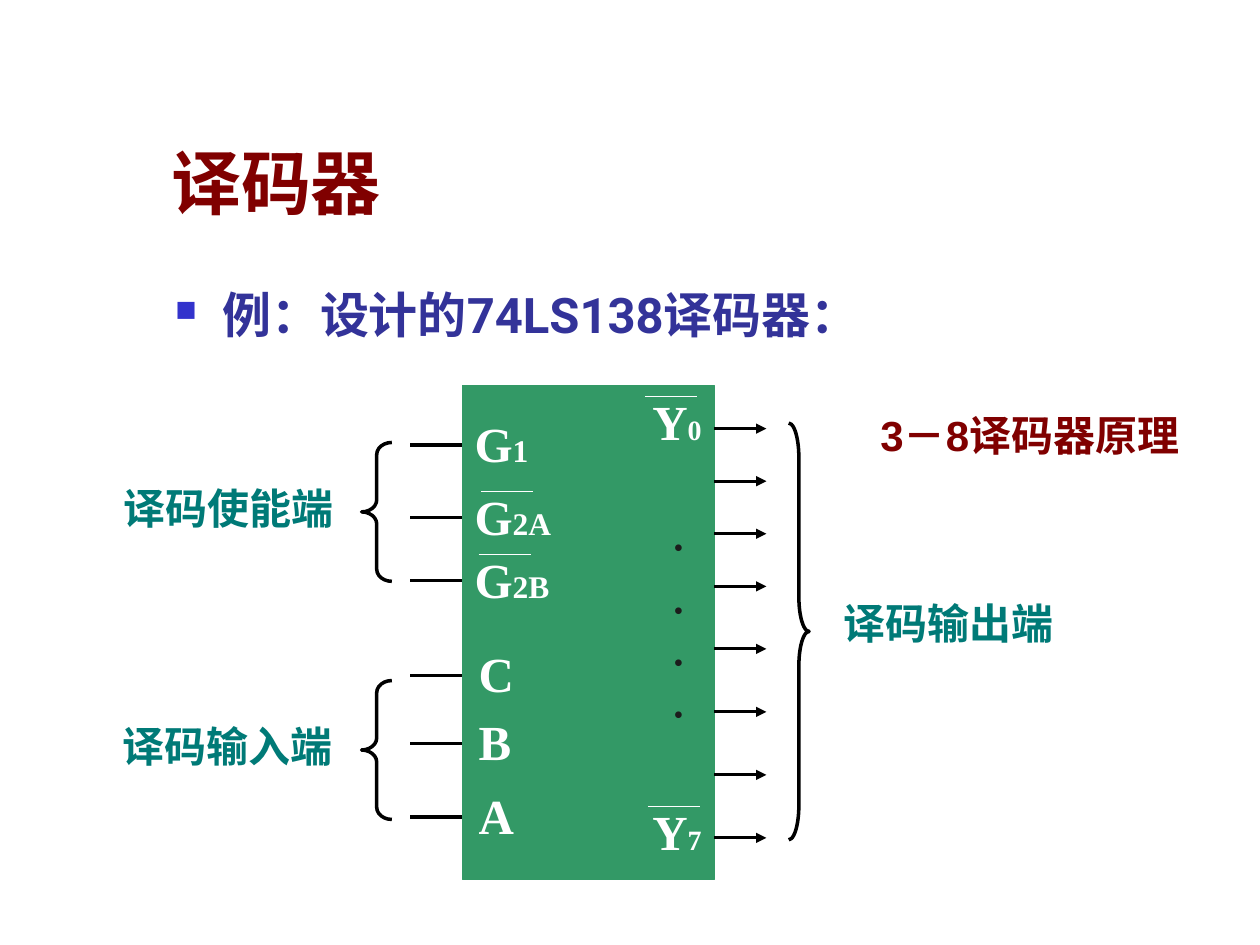
from dataclasses import dataclass

from lxml import etree
from pptx import Presentation
from pptx.dml.color import RGBColor
from pptx.enum.shapes import MSO_CONNECTOR, MSO_SHAPE
from pptx.enum.text import MSO_ANCHOR, MSO_AUTO_SIZE, PP_ALIGN
from pptx.oxml.ns import qn
from pptx.util import Cm, Pt

LEFT, CENTER = PP_ALIGN.LEFT, PP_ALIGN.CENTER
TOP, BOTTOM = MSO_ANCHOR.TOP, MSO_ANCHOR.BOTTOM
FIXED = MSO_AUTO_SIZE.NONE
STRAIGHT = MSO_CONNECTOR.STRAIGHT
RECT = MSO_SHAPE.RECTANGLE
OPEN, CLOSE = MSO_SHAPE.LEFT_BRACE, MSO_SHAPE.RIGHT_BRACE

MAROON = RGBColor(0x80, 0x00, 0x00)
NAVY = RGBColor(0x33, 0x33, 0x99)
BLUE = RGBColor(0x33, 0x33, 0xCC)
GREEN = RGBColor(0x33, 0x99, 0x66)
TEAL = RGBColor(0x00, 0x7A, 0x77)
WHITE = RGBColor(0xFF, 0xFF, 0xFF)
BLACK = RGBColor(0x00, 0x00, 0x00)
GRAY = RGBColor(0x1C, 0x1C, 0x1C)

SERIF, SANS, HEAD = "Times New Roman", "Arial", "Roboto"
CHIP_X, CHIP_Y, CHIP_W, CHIP_H = 9.32, 7.77, 5.08, 9.96
EDGE = CHIP_X + CHIP_W
WIRE = 1.05


@dataclass
class Run:
    text: str
    size: int
    color: RGBColor
    font: str
    bold: bool = True


@dataclass
class Box:
    x: float
    y: float
    w: float
    h: float


@dataclass
class Pin:
    name: str
    sub: str
    x: float
    y: float
    size: int = 18
    bar: float = 0


@dataclass
class Brace:
    kind: int
    box: Box
    curve: float


PINS = [
    Pin("G", "1", 9.32, 8.21),
    Pin("G", "2A", 9.32, 9.68, bar=0.38),
    Pin("G", "2B", 9.32, 10.95, bar=0.33),
    Pin("C", "", 9.4, 12.85),
    Pin("B", "", 9.4, 14.22),
    Pin("A", "", 9.4, 15.71),
]
OUTS = [
    Pin("Y", "0", 12.9, 7.77, 16, 0.1),
    Pin("Y", "7", 12.9, 16.03, 16, 0.16),
]
BRACES = [
    Brace(OPEN, Box(7.29, 8.92, 0.61, 2.8), 0.4),
    Brace(OPEN, Box(7.29, 13.72, 0.61, 2.8), 0.4),
    Brace(CLOSE, Box(15.9, 8.53, 0.41, 8.4), 1.7),
]
LABELS = [
    ("译码使能端", Box(2.11, 9.6, 5, 1.27)),
    ("译码输入端", Box(2.18, 14.4, 4.8, 1.27)),
    ("译码输出端", Box(16.51, 11.91, 5.21, 1.27)),
]
DOTS = [10.54, 11.81, 12.86, 13.92]
ROWS = [8.64 + 1.06 * i for i in range(4)] + [13.08 + 1.27 * i for i in range(4)]


def write(shape, runs: list[Run], align=LEFT, anchor=TOP, side: float = 0.25):
    frame = shape.text_frame
    frame.word_wrap = True
    frame.auto_size = FIXED
    frame.vertical_anchor = anchor
    frame.margin_left = frame.margin_right = Cm(side)
    frame.margin_top = frame.margin_bottom = Cm(0.13)
    para = frame.paragraphs[0]
    para.alignment = align
    for part in runs:
        run = para.add_run()
        run.text = part.text
        font = run.font
        font.size = Pt(part.size)
        font.bold = part.bold
        font.name = part.font
        font.color.rgb = part.color
    return para


def add_text(slide, box: Box, runs: list[Run], align=LEFT, side: float = 0.25):
    shape = slide.shapes.add_textbox(Cm(box.x), Cm(box.y), Cm(box.w), Cm(box.h))
    return write(shape, runs, align, side=side)


def add_line(slide, x: float, y: float, color: RGBColor, width: float, arrow: bool = False) -> None:
    line = slide.shapes.add_connector(STRAIGHT, Cm(x), Cm(y), Cm(x + WIRE), Cm(y))
    line.line.color.rgb = color
    line.line.width = Pt(width)
    props = line._element.spPr
    if arrow:
        tip = etree.SubElement(props.find(qn("a:ln")), qn("a:tailEnd"))
        tip.set("type", "triangle")
    etree.SubElement(props, qn("a:effectLst"))


def add_pin(slide, pin: Pin) -> None:
    runs = [Run(pin.name, 28, WHITE, SERIF)]
    if pin.sub:
        runs.append(Run(pin.sub, pin.size, WHITE, SERIF))
    add_text(slide, Box(pin.x, pin.y, 2.34, 1.45), runs)
    if pin.bar:
        add_line(slide, pin.x + pin.bar, pin.y + 0.23, WHITE, 0.75)


def add_brace(slide, brace: Brace) -> None:
    box = brace.box
    shape = slide.shapes.add_shape(brace.kind, Cm(box.x), Cm(box.y), Cm(box.w), Cm(box.h))
    shape.adjustments[0] = brace.curve
    shape.shadow.inherit = False
    shape.fill.background()
    shape.line.color.rgb = BLACK
    shape.line.width = Pt(2)


def add_chip(slide) -> None:
    chip = slide.shapes.add_shape(RECT, Cm(CHIP_X), Cm(CHIP_Y), Cm(CHIP_W), Cm(CHIP_H))
    chip.shadow.inherit = False
    chip.fill.solid()
    chip.fill.fore_color.rgb = GREEN
    chip.line.color.rgb = GREEN
    chip.line.width = Pt(0.75)


def set_mark(para) -> None:
    props = para._p.get_or_add_pPr()
    props.set("marL", str(Cm(0.95)))
    props.set("indent", str(-Cm(0.95)))
    tint = etree.SubElement(props, qn("a:buClr"))
    etree.SubElement(tint, qn("a:srgbClr")).set("val", str(BLUE))
    etree.SubElement(props, qn("a:buSzPct")).set("val", "60000")
    etree.SubElement(props, qn("a:buChar")).set("char", "■")


def main() -> None:
    deck = Presentation()
    deck.slide_width, deck.slide_height = Cm(25.4), Cm(19.05)
    slide = deck.slides.add_slide(deck.slide_layouts[5])

    title = slide.shapes.title
    title.left, title.top, title.width, title.height = Cm(3.2), Cm(0.58), Cm(21.64), Cm(4.06)
    write(title, [Run("译码器", 40, MAROON, HEAD)], anchor=BOTTOM)

    lead = [Run("例：设计的74LS138译码器：", 28, NAVY, HEAD)]
    set_mark(add_text(slide, Box(3.28, 5.61, 18.21, 1.73), lead))

    add_chip(slide)
    for y in ROWS:
        add_line(slide, EDGE, y, BLACK, 1.75, arrow=True)
    for pin in PINS:
        add_line(slide, CHIP_X - WIRE, pin.y + 0.76, BLACK, 1.75)
    for pin in PINS + OUTS:
        add_pin(slide, pin)
    for y in DOTS:
        add_text(slide, Box(12.9, y, 1.56, 0.94), [Run("•", 16, GRAY, SERIF, False)], CENTER)

    for brace in BRACES:
        add_brace(slide, brace)
    for text, box in LABELS:
        add_text(slide, box, [Run(text, 24, TEAL, SANS)], CENTER, 0)
    note = [Run("3－8译码器原理", 24, MAROON, SANS)]
    add_text(slide, Box(17.5, 8.13, 6.81, 2.29), note)

    deck.save("out.pptx")


if __name__ == "__main__":
    main()
